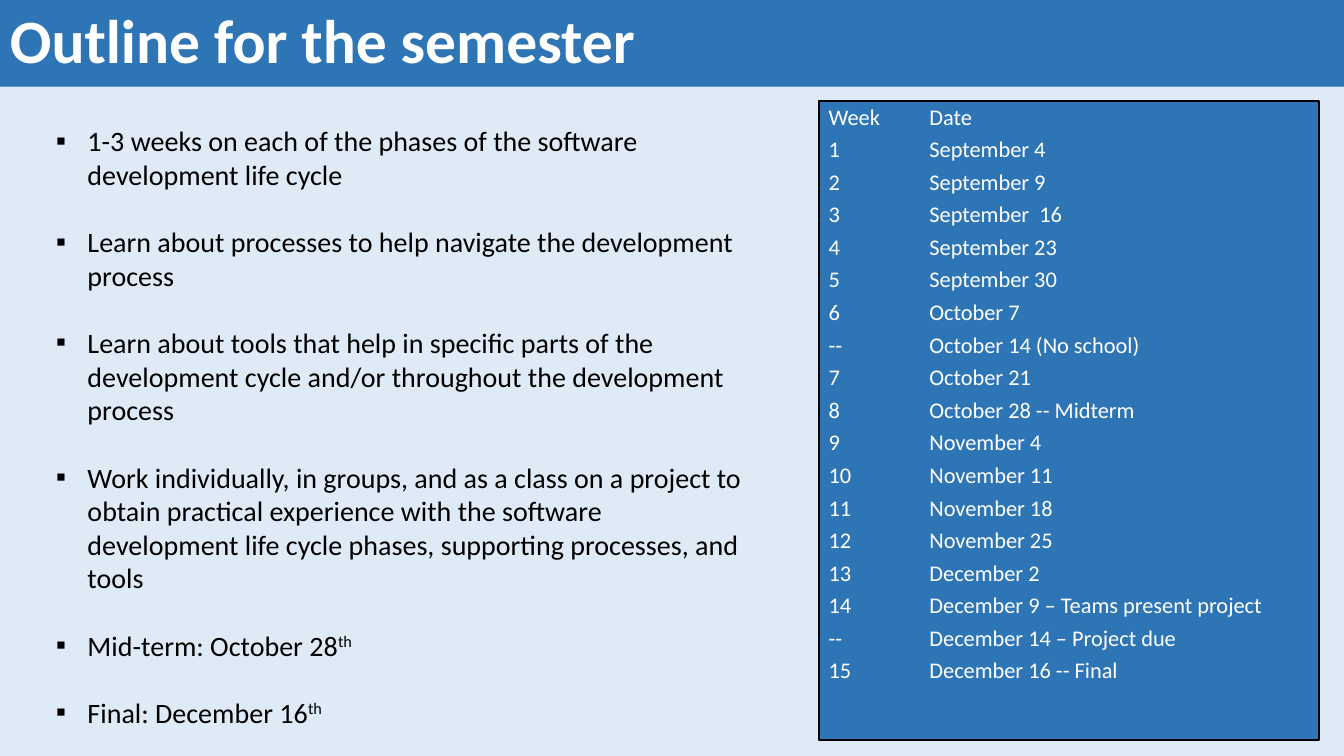
from dataclasses import dataclass

from lxml import etree
from pptx import Presentation
from pptx.dml.color import RGBColor
from pptx.enum.shapes import MSO_SHAPE
from pptx.enum.text import MSO_ANCHOR, PP_ALIGN
from pptx.oxml.ns import qn
from pptx.util import Inches, Pt

RECTANGLE = MSO_SHAPE.RECTANGLE
TOP, MIDDLE = MSO_ANCHOR.TOP, MSO_ANCHOR.MIDDLE
LEFT = PP_ALIGN.LEFT

TITLE = "Outline for the semester"

# Each goal is its text and an optional superscript ending.
GOALS = [
    ("1-3 weeks on each of the phases of the software development life cycle", ""),
    ("Learn about processes to help navigate the development process", ""),
    ("Learn about tools that help in specific parts of the development cycle "
     "and/or throughout the development process", ""),
    ("Work individually, in groups, and as a class on a project to obtain practical "
     "experience with the software development life cycle phases, supporting "
     "processes, and tools", ""),
    ("Mid-term: October 28", "th"),
    ("Final: December 16", "th"),
]

SCHEDULE = [
    ("Week", "Date"),
    ("1", "September 4"),
    ("2", "September 9"),
    ("3", "September  16"),
    ("4", "September 23"),
    ("5", "September 30"),
    ("6", "October 7"),
    ("--", "October 14 (No school)"),
    ("7", "October 21"),
    ("8", "October 28 -- Midterm"),
    ("9", "November 4"),
    ("10", "November 11"),
    ("11", "November 18"),
    ("12", "November 25"),
    ("13", "December 2"),
    ("14", "December 9 – Teams present project"),
    ("--", "December 14 – Project due"),
    ("15", "December 16 -- Final"),
]


@dataclass(frozen=True)
class Theme:
    font: str = "Calibri"
    background: RGBColor = RGBColor(0xDE, 0xEB, 0xF7)
    panel: RGBColor = RGBColor(0x2E, 0x75, 0xB6)
    dark: RGBColor = RGBColor(0, 0, 0)
    light: RGBColor = RGBColor(0xFF, 0xFF, 0xFF)
    title_size: int = 44
    goal_size: int = 20
    schedule_size: int = 16


THEME = Theme()

WIDTH, HEIGHT = 13.33, 7.5
BANNER_HEIGHT = 0.86
BODY_BOTTOM = HEIGHT - 0.16
GOALS_LEFT, GOALS_TOP, GOALS_WIDTH = 0.46, 1.18, 7.16
SCHEDULE_TOP, SCHEDULE_WIDTH = 1, 4.96
SCHEDULE_LEFT = WIDTH - 0.25 - SCHEDULE_WIDTH
BULLET_INDENT = 0.31
DATE_TAB = 1


def add_panel(slide, left, top, width, height, anchor=TOP, outline=None):
    panel = slide.shapes.add_shape(
        RECTANGLE, Inches(left), Inches(top), Inches(width), Inches(height))
    panel.shadow.inherit = False
    panel.fill.solid()
    panel.fill.fore_color.rgb = THEME.panel
    if outline is None:
        panel.line.fill.background()
    else:
        panel.line.color.rgb = outline
        panel.line.width = Pt(1.5)
    panel.text_frame.word_wrap = True
    panel.text_frame.vertical_anchor = anchor
    return panel.text_frame


def add_paragraph(frame, text, size, color, bold=False, superscript="", spacing=1.0,
                  before=0, after=0, bullet=None, tab=None):
    """Fill the frame's empty first paragraph, or append another one."""
    first = frame.paragraphs[0]
    paragraph = frame.add_paragraph() if first.runs else first
    paragraph.alignment = LEFT
    paragraph.line_spacing = spacing
    paragraph.space_before = Pt(before)
    paragraph.space_after = Pt(after)
    properties = paragraph._p.get_or_add_pPr()
    if bullet:
        indent = Inches(BULLET_INDENT)
        properties.set("marL", str(indent))
        properties.set("indent", str(-indent))
        etree.SubElement(properties, qn("a:buFont"), typeface=THEME.font)
        etree.SubElement(properties, qn("a:buChar"), char=bullet)
    if tab:
        tabs = etree.SubElement(properties, qn("a:tabLst"))
        etree.SubElement(tabs, qn("a:tab"), pos=str(Inches(tab)), algn="l")
    for part, baseline in ((text, 0), (superscript, 30000)):
        if not part:
            continue
        run = paragraph.add_run()
        run.text = part
        run.font.name = THEME.font
        run.font.size = Pt(size)
        run.font.bold = bold
        run.font.color.rgb = color
        if baseline:
            run._r.get_or_add_rPr().set("baseline", str(baseline))


def add_goals(slide):
    box = slide.shapes.add_textbox(
        Inches(GOALS_LEFT), Inches(GOALS_TOP),
        Inches(GOALS_WIDTH), Inches(BODY_BOTTOM - GOALS_TOP))
    frame = box.text_frame
    frame.word_wrap = True
    for index, (goal, ending) in enumerate(GOALS):
        add_paragraph(frame, goal, THEME.goal_size, THEME.dark, superscript=ending,
                      before=24 if index else 0, bullet="▪")


def add_schedule(slide):
    frame = add_panel(slide, SCHEDULE_LEFT, SCHEDULE_TOP, SCHEDULE_WIDTH,
                      BODY_BOTTOM - SCHEDULE_TOP, outline=THEME.dark)
    for week, date in SCHEDULE:
        add_paragraph(frame, f"{week}\t{date}", THEME.schedule_size, THEME.light,
                      spacing=0.9, after=6, tab=DATE_TAB)


def main():
    presentation = Presentation()
    presentation.slide_width = Inches(WIDTH)
    presentation.slide_height = Inches(HEIGHT)
    slide = presentation.slides.add_slide(presentation.slide_layouts[6])
    slide.background.fill.solid()
    slide.background.fill.fore_color.rgb = THEME.background
    banner = add_panel(slide, 0, 0, WIDTH, BANNER_HEIGHT, anchor=MIDDLE)
    add_paragraph(banner, TITLE, THEME.title_size, THEME.light, bold=True, spacing=0.9)
    add_goals(slide)
    add_schedule(slide)
    presentation.save("out.pptx")


if __name__ == "__main__":
    main()
